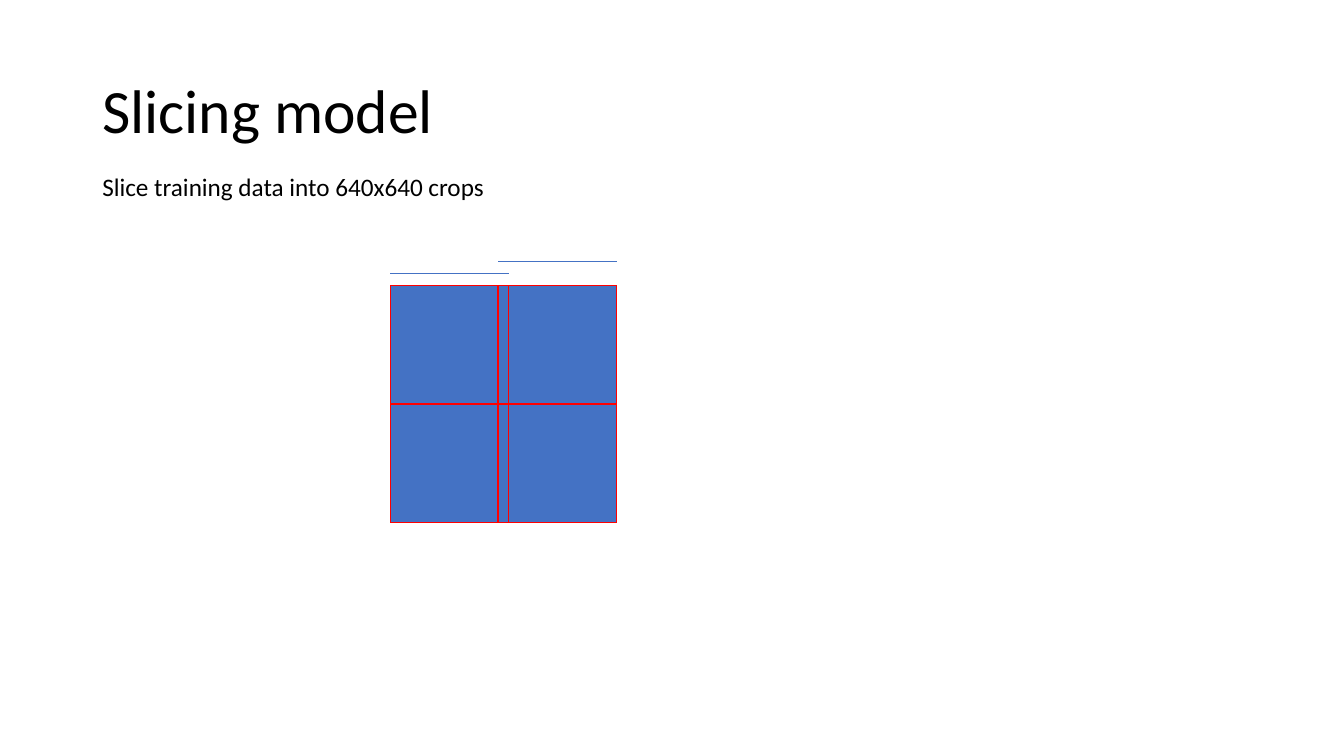
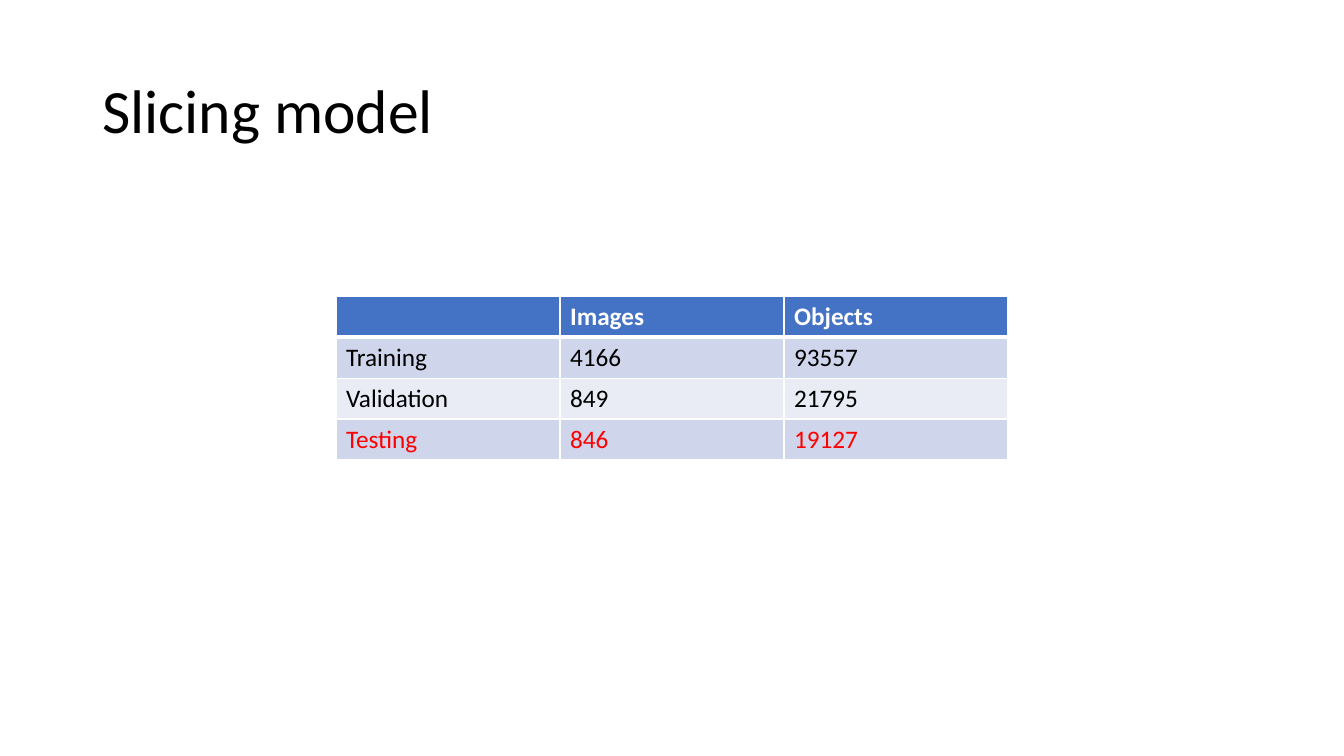
from dataclasses import dataclass
from itertools import product

from lxml import etree
from pptx import Presentation
from pptx.dml.color import RGBColor
from pptx.enum.shapes import MSO_CONNECTOR, MSO_SHAPE
from pptx.enum.text import MSO_ANCHOR, MSO_AUTO_SIZE
from pptx.oxml.ns import qn
from pptx.slide import Slide
from pptx.table import _Cell
from pptx.text.text import _Paragraph
from pptx.util import Pt

RECTANGLE = MSO_SHAPE.RECTANGLE
STRAIGHT = MSO_CONNECTOR.STRAIGHT
MIDDLE = MSO_ANCHOR.MIDDLE
TOP = MSO_ANCHOR.TOP
FIT_TEXT = MSO_AUTO_SIZE.SHAPE_TO_FIT_TEXT
NO_FIT = MSO_AUTO_SIZE.NONE
BLANK_LAYOUT = 6


@dataclass(frozen=True)
class Theme:
    font: str = "Calibri"
    title_size: float = 44
    body_size: float = 18
    text: str = "000000"
    white: str = "FFFFFF"
    blue: str = "4472C4"
    dark_blue: str = "325491"
    red: str = "FF0000"
    bands: tuple[str, str] = ("CFD5EA", "E9EBF5")
    outline: float = 1
    thin_line: float = 0.5
    header_rule: float = 3


@dataclass(frozen=True)
class Box:
    left: float
    top: float
    width: float
    height: float


@dataclass(frozen=True)
class DataRow:
    cells: tuple[str, str, str]
    fill: str
    color: str
    bold: bool = False


THEME = Theme()
TITLE_BOX = Box(66, 28.75, 828, 104.4)
CAPTION_BOX = Box(66, 118.8, 290.2, 29.1)

CROP_SIZE = 84.7
CROP_STEP_X = 77
CROP_STEP_Y = CROP_SIZE
IMAGE_BOX = Box(278.8, 203.9, CROP_STEP_X + CROP_SIZE, CROP_STEP_Y + CROP_SIZE)
SPAN_TOPS = (195.6, 186.6)

TABLE_BOX = Box(240, 211.7, 480, 116.8)
DATA_ROWS = (
    DataRow(("", "Images", "Objects"), THEME.blue, THEME.white, True),
    DataRow(("Training", "4166", "93557"), THEME.bands[0], THEME.text),
    DataRow(("Validation", "849", "21795"), THEME.bands[1], THEME.text),
    DataRow(("Testing", "846", "19127"), THEME.bands[0], THEME.red),
)


def rgb(color: str) -> RGBColor:
    return RGBColor.from_string(color)


def write(paragraph: _Paragraph, text: str, size: float, color: str, bold: bool = False) -> None:
    paragraph.text = text
    font = paragraph.font
    font.name = THEME.font
    font.size = Pt(size)
    font.bold = bold
    font.color.rgb = rgb(color)


def add_text(slide: Slide, box: Box, text: str, size: float, is_title: bool) -> None:
    frame = slide.shapes.add_textbox(
        Pt(box.left), Pt(box.top), Pt(box.width), Pt(box.height)
    ).text_frame
    frame.word_wrap = is_title
    frame.auto_size = NO_FIT if is_title else FIT_TEXT
    frame.vertical_anchor = MIDDLE if is_title else TOP
    paragraph = frame.paragraphs[0]
    write(paragraph, text, size, THEME.text)
    if is_title:
        paragraph.line_spacing = 0.9


def add_rectangle(slide: Slide, box: Box, line: str, fill: str | None = None) -> None:
    rectangle = slide.shapes.add_shape(
        RECTANGLE, Pt(box.left), Pt(box.top), Pt(box.width), Pt(box.height)
    )
    rectangle.shadow.inherit = False
    if fill is None:
        rectangle.fill.background()
    else:
        rectangle.fill.solid()
        rectangle.fill.fore_color.rgb = rgb(fill)
    rectangle.line.color.rgb = rgb(line)
    rectangle.line.width = Pt(THEME.outline)


def add_span(slide: Slide, left: float, top: float, width: float) -> None:
    span = slide.shapes.add_connector(STRAIGHT, Pt(left), Pt(top), Pt(left + width), Pt(top))
    span.line.color.rgb = rgb(THEME.blue)
    span.line.width = Pt(THEME.thin_line)
    etree.SubElement(span._element.spPr, qn("a:effectLst"))


def set_borders(cell: _Cell, top: float, bottom: float) -> None:
    properties = cell._tc.get_or_add_tcPr()
    widths = {"lnL": THEME.outline, "lnR": THEME.outline, "lnT": top, "lnB": bottom}
    for side, width in widths.items():
        border = etree.SubElement(properties, qn(f"a:{side}"), w=str(int(Pt(width))))
        fill = etree.SubElement(border, qn("a:solidFill"))
        etree.SubElement(fill, qn("a:srgbClr"), val=THEME.white)


def add_data_table(slide: Slide, box: Box, rows: tuple[DataRow, ...]) -> None:
    table = slide.shapes.add_table(
        len(rows), len(rows[0].cells),
        Pt(box.left), Pt(box.top), Pt(box.width), Pt(box.height),
    ).table
    for row_index, row in enumerate(rows):
        top = THEME.header_rule if row_index == 1 else THEME.outline
        bottom = THEME.header_rule if row_index == 0 else THEME.outline
        for column_index, text in enumerate(row.cells):
            cell = table.cell(row_index, column_index)
            set_borders(cell, top, bottom)
            cell.fill.solid()
            cell.fill.fore_color.rgb = rgb(row.fill)
            write(cell.text_frame.paragraphs[0], text, THEME.body_size, row.color, row.bold)


def add_titled_slide(deck: Presentation, title: str) -> Slide:
    slide = deck.slides.add_slide(deck.slide_layouts[BLANK_LAYOUT])
    add_text(slide, TITLE_BOX, title, THEME.title_size, True)
    return slide


def build_crops_slide(deck: Presentation) -> None:
    slide = add_titled_slide(deck, "Slicing model")
    add_text(slide, CAPTION_BOX, "Slice training data into 640x640 crops", THEME.body_size, False)
    add_rectangle(slide, IMAGE_BOX, THEME.dark_blue, THEME.blue)
    for row, column in product(range(2), repeat=2):
        crop = Box(
            IMAGE_BOX.left + column * CROP_STEP_X,
            IMAGE_BOX.top + row * CROP_STEP_Y,
            CROP_SIZE,
            CROP_SIZE,
        )
        add_rectangle(slide, crop, THEME.red)
    for column, top in enumerate(SPAN_TOPS):
        add_span(slide, IMAGE_BOX.left + column * CROP_STEP_X, top, CROP_SIZE)


def build_counts_slide(deck: Presentation) -> None:
    slide = add_titled_slide(deck, "Slicing model")
    add_data_table(slide, TABLE_BOX, DATA_ROWS)


def main() -> None:
    deck = Presentation()
    deck.slide_width = Pt(960)
    deck.slide_height = Pt(540)
    build_crops_slide(deck)
    build_counts_slide(deck)
    deck.save("out.pptx")


if __name__ == "__main__":
    main()
